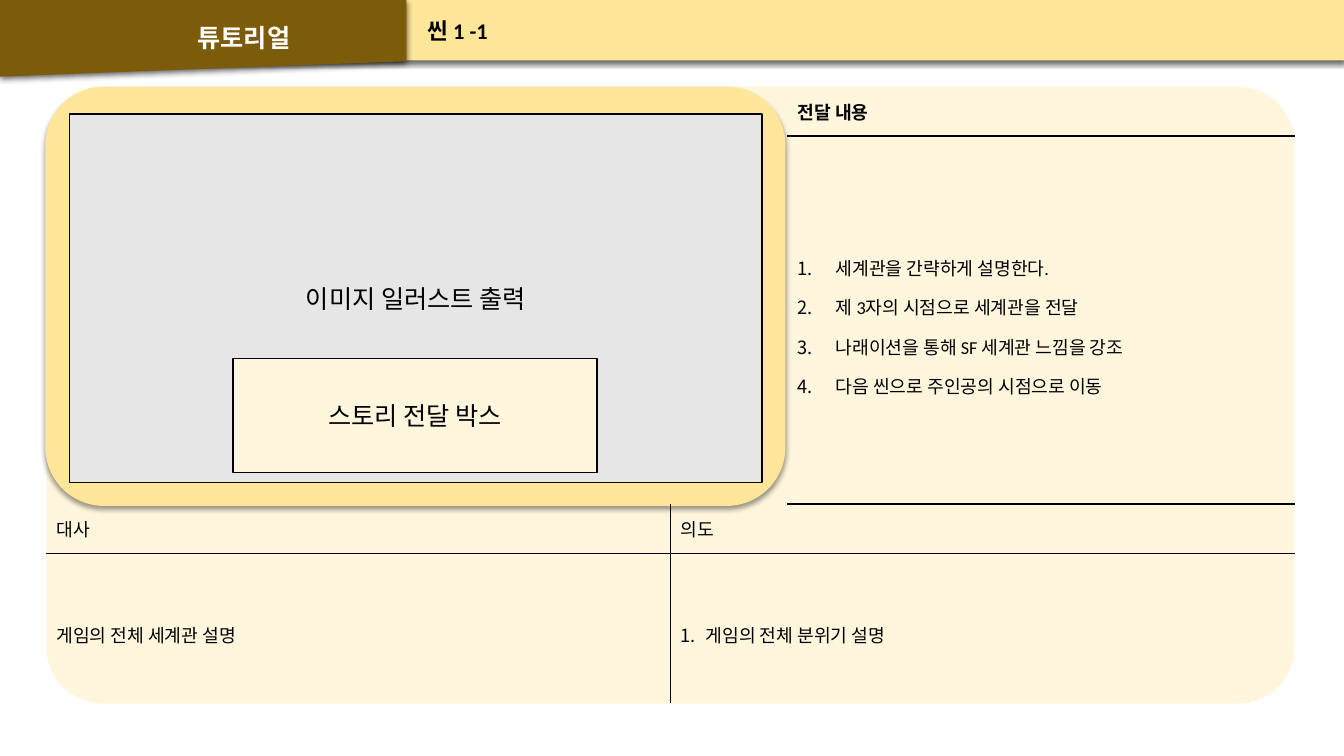
from dataclasses import dataclass

from lxml.etree import SubElement
from pptx import Presentation
from pptx.dml.color import RGBColor
from pptx.enum.shapes import MSO_SHAPE
from pptx.enum.text import MSO_ANCHOR, MSO_AUTO_SIZE, PP_ALIGN
from pptx.oxml import parse_xml
from pptx.oxml.ns import nsdecls, qn
from pptx.util import Inches, Pt


@dataclass(frozen=True)
class Theme:
    font: str = "Calibri"
    black: str = "000000"
    white: str = "FFFFFF"
    yellow: str = "FFE699"
    brown: str = "7C5B0A"
    cream: str = "FFF6DD"
    gray: str = "E7E6E6"
    table_size: float = 13
    scene_size: float = 16
    title_size: float = 18


theme = Theme()


def add_panel(kind, box, color, shadow=None):
    shape = slide.shapes.add_shape(kind, *map(Inches, box))
    shape.fill.solid()
    shape.fill.fore_color.rgb = RGBColor.from_string(color)
    shape.line.fill.background()
    shape.shadow.inherit = False
    if shadow:
        alpha, blur, distance = shadow
        effects = shape.element.spPr.find(qn("a:effectLst"))
        effects.append(parse_xml(
            f'<a:outerShdw {nsdecls("a")} blurRad="{Pt(blur)}" dist="{Pt(distance)}" '
            f'dir="5400000" algn="t" rotWithShape="0"><a:srgbClr val="{theme.black}">'
            f'<a:alpha val="{alpha * 1000}"/></a:srgbClr></a:outerShdw>'))
    return shape


def write(paragraph, text, size, color=theme.black, bold=False, spacing=None, align=None):
    paragraph.text = text
    paragraph.line_spacing = spacing
    paragraph.alignment = align
    paragraph.font.name = theme.font
    paragraph.font.size = Pt(size)
    paragraph.font.bold = bold
    paragraph.font.color.rgb = RGBColor.from_string(color)


presentation = Presentation()
presentation.slide_width = Inches(13.33)
presentation.slide_height = Inches(7.5)
slide = presentation.slides.add_slide(presentation.slide_layouts[1])

header_shadow = (63, 4.5, 1.5)
add_panel(MSO_SHAPE.RECTANGLE, (0, 0, 13.33, 0.6), theme.yellow, header_shadow)
title_tab = add_panel(MSO_SHAPE.FLOWCHART_MANUAL_INPUT, (0, 0, 4.03, 0.76), theme.brown, header_shadow)
title_tab.rotation = 180
sheet = add_panel(MSO_SHAPE.ROUNDED_RECTANGLE, (0.46, 0.86, 12.38, 6.12), theme.cream)
sheet.adjustments[0] = 0.092
screen = add_panel(MSO_SHAPE.ROUNDED_RECTANGLE, (0.45, 0.86, 7.34, 4.16), theme.yellow, (40, 4, 3))
screen.adjustments[0] = 0.14

frame = slide.shapes.add_table(4, 3, *map(Inches, (0.46, 0.86, 12.38, 6.12)))
table = frame.table
table.first_row = False
table.horz_banding = False
for style in frame.element.iter(qn("a:tableStyleId")):
    style.text = "{2D5ABB26-0587-4C30-8999-92F81FD0307C}"
for column, width in zip(table.columns, (6.19, 1.16, 5.03)):
    column.width = Inches(width)
for row, height in zip(table.rows, (0.49, 3.65, 0.49, 1.49)):
    row.height = Inches(height)
table.cell(0, 0).merge(table.cell(1, 1))
for row in (2, 3):
    table.cell(row, 1).merge(table.cell(row, 2))

borders = {
    (0, 2): "B", (1, 2): "T",
    (2, 0): "RB", (2, 1): "LB", (2, 2): "B",
    (3, 0): "RT", (3, 1): "LT", (3, 2): "T",
}
for row in range(4):
    for column in range(3):
        cell = table.cell(row, column)
        cell.vertical_anchor = MSO_ANCHOR.MIDDLE
        properties = cell._tc.get_or_add_tcPr()
        for side in borders.get((row, column), ""):
            line = SubElement(properties, qn(f"a:ln{side}"), w=str(Pt(1)))
            fill = SubElement(line, qn("a:solidFill"))
            SubElement(fill, qn("a:srgbClr"), val=theme.black)
        cell.fill.background()

cell_texts = [
    (0, 2, ["전달 내용"], True, None, 0),
    (1, 2, ["세계관을 간략하게 설명한다.", "제 3자의 시점으로 세계관을 전달",
            "나래이션을 통해 SF 세계관 느낌을 강조", "다음 씬으로 주인공의 시점으로 이동"],
     False, 1.5, 0.38),
    (2, 0, ["대사"], False, None, 0),
    (2, 1, ["의도"], False, None, 0),
    (3, 0, ["게임의 전체 세계관 설명"], False, 1.5, 0),
    (3, 1, ["게임의 전체 분위기 설명"], False, 1.5, 0.25),
]
for row, column, lines, bold, spacing, indent in cell_texts:
    text_frame = table.cell(row, column).text_frame
    for index, text in enumerate(lines):
        paragraph = text_frame.add_paragraph() if index else text_frame.paragraphs[0]
        if indent:
            properties = paragraph._p.get_or_add_pPr()
            properties.set("marL", str(Inches(indent)))
            properties.set("indent", str(-Inches(indent)))
            SubElement(properties, qn("a:buFont"), typeface=theme.font)
            SubElement(properties, qn("a:buAutoNum"), type="arabicPeriod")
        write(paragraph, text, theme.table_size, bold=bold, spacing=spacing)

screen_boxes = [
    ("이미지 일러스트 출력", (0.69, 1.13, 6.87, 3.66), theme.gray),
    ("스토리 전달 박스", (2.31, 3.56, 3.61, 1.13), theme.cream),
]
for text, box, color in screen_boxes:
    shape = add_panel(MSO_SHAPE.RECTANGLE, box, color)
    shape.line.color.rgb = RGBColor.from_string(theme.black)
    shape.line.width = Pt(1)
    shape.text_frame.vertical_anchor = MSO_ANCHOR.MIDDLE
    write(shape.text_frame.paragraphs[0], text, theme.title_size, align=PP_ALIGN.CENTER)

title = slide.shapes.title
scene = slide.placeholders[1]
for placeholder, box in ((title, (0.92, 0.04, 3, 0.52)), (scene, (4.14, 0.12, 8.28, 0.36))):
    placeholder.left, placeholder.top, placeholder.width, placeholder.height = map(Inches, box)
    placeholder.text_frame.auto_size = MSO_AUTO_SIZE.NONE
    placeholder.text_frame.vertical_anchor = MSO_ANCHOR.MIDDLE
    slide.shapes.element.append(placeholder.element)
write(title.text_frame.paragraphs[0], "튜토리얼", theme.title_size, theme.white, True, 1.5, PP_ALIGN.CENTER)
scene_paragraph = scene.text_frame.paragraphs[0]
properties = scene_paragraph._p.get_or_add_pPr()
properties.set("marL", "0")
properties.set("indent", "0")
SubElement(properties, qn("a:buNone"))
scene_paragraph.space_before = Pt(0)
write(scene_paragraph, "씬 1 -1", theme.scene_size, bold=True)

presentation.save("out.pptx")
